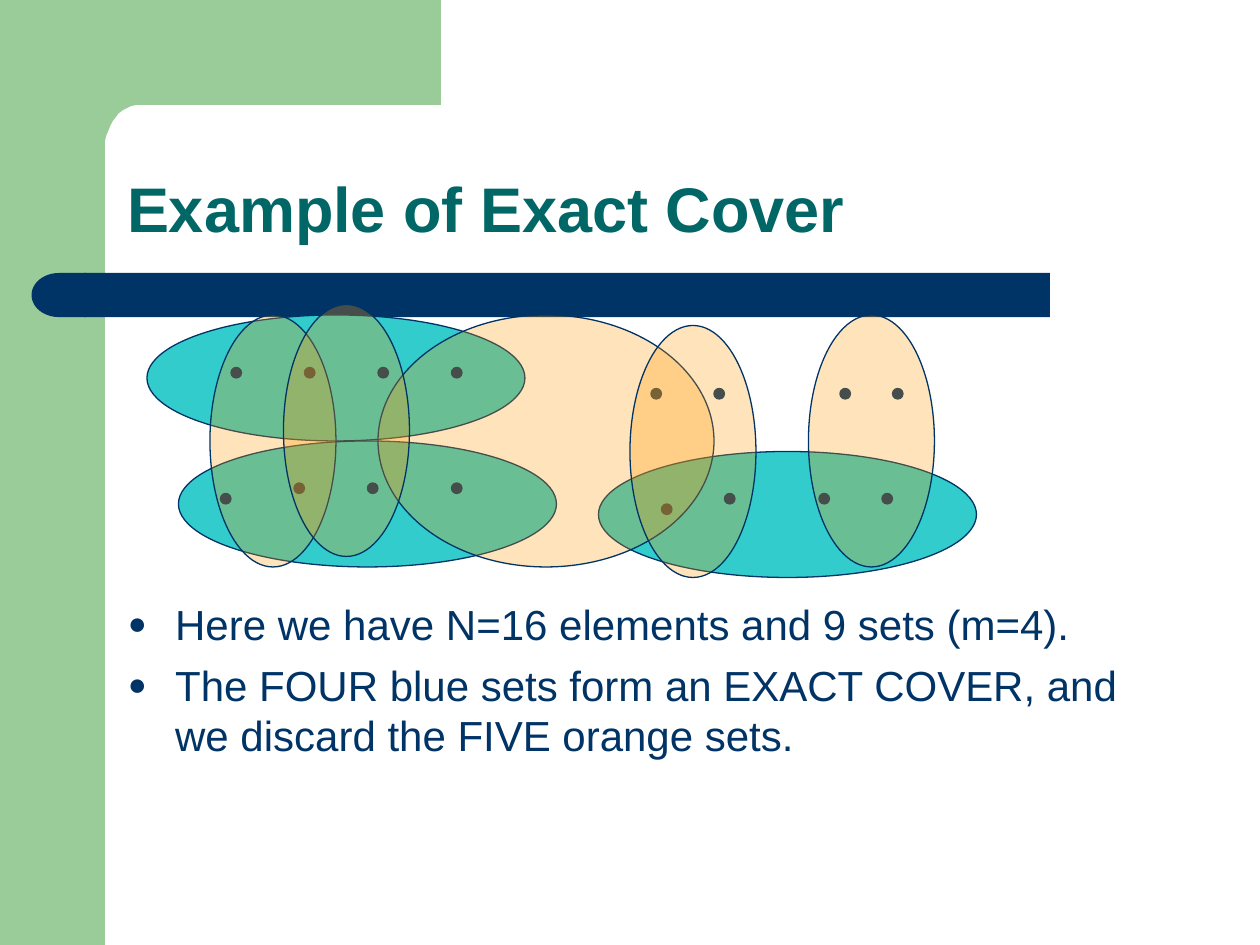
import math

from lxml import etree
from pptx import Presentation
from pptx import util as u
from pptx.dml import color
from pptx.enum import shapes, text
from pptx.oxml import ns

PX = u.Inches(1) // 120
COLORS = {
    "frame": "99CC99",
    "navy": "003366",
    "title": "006666",
    "cover": "33CCCC",
    "discard": "FF9900",
}
FONT = "Arial"


def rgb(name):
    return color.RGBColor.from_string(COLORS[name])


def add_child(parent, tag, **attributes):
    return etree.SubElement(parent, ns.qn(tag), attributes)


class SlideBuilder:
    def __init__(self, slide):
        self.slide = slide

    def paint(self, shape, fill, outlined=False, alpha=None):
        shape.shadow.inherit = False
        shape.fill.solid()
        shape.fill.fore_color.rgb = rgb(fill)
        if alpha is not None:
            tint = shape.fill._xPr.find(".//" + ns.qn("a:srgbClr"))
            add_child(tint, "a:alpha", val=str(alpha * 1000))
        if outlined:
            shape.line.color.rgb = rgb("navy")
            shape.line.width = u.Pt(0.75)
        else:
            shape.line.fill.background()

    def preset(self, kind, box, fill, **style):
        shape = self.slide.shapes.add_shape(kind, *(n * PX for n in box))
        self.paint(shape, fill, **style)
        return shape

    def ellipse(self, box, fill, alpha=None):
        self.preset(shapes.MSO_SHAPE.OVAL, box, fill, outlined=True, alpha=alpha)

    def outline(self, points, fill):
        builder = self.slide.shapes.build_freeform(*points[0], scale=PX)
        builder.add_line_segments(points[1:], close=True)
        self.paint(builder.convert_to_shape(), fill)

    def run(self, paragraph, words, size, fill, bold=False):
        run = paragraph.add_run()
        run.text = words
        run.font.name = FONT
        run.font.size = u.Pt(size)
        run.font.bold = bold
        run.font.color.rgb = rgb(fill)

    def title(self, box, words):
        holder = self.slide.shapes.title
        holder.left, holder.top, holder.width, holder.height = (n * PX for n in box)
        frame = holder.text_frame
        frame.auto_size = text.MSO_AUTO_SIZE.NONE
        frame.vertical_anchor = text.MSO_ANCHOR.BOTTOM
        paragraph = frame.paragraphs[0]
        paragraph.alignment = text.PP_ALIGN.LEFT
        paragraph.line_spacing = 0.9
        self.run(paragraph, words, 36, "title", bold=True)

    def bullets(self, box, items):
        frame = self.slide.shapes.add_textbox(*(n * PX for n in box)).text_frame
        frame.word_wrap = True
        for index, words in enumerate(items):
            paragraph = frame.add_paragraph() if index else frame.paragraphs[0]
            paragraph.space_before = u.Pt(6)
            props = paragraph._p.get_or_add_pPr()
            props.set("marL", str(45 * PX))
            props.set("indent", str(-45 * PX))
            add_child(add_child(props, "a:buClr"), "a:srgbClr", val=COLORS["navy"])
            add_child(props, "a:buSzPct", val="75000")
            add_child(props, "a:buFont", typeface=FONT)
            add_child(props, "a:buChar", char="●")
            self.run(paragraph, words, 24, "navy")


def main():
    deck = Presentation()
    deck.slide_width, deck.slide_height = 1200 * PX, 900 * PX
    page = SlideBuilder(deck.slides.add_slide(deck.slide_layouts[5]))

    page.preset(shapes.MSO_SHAPE.RECTANGLE, (0, 0, 100, 900), "frame")
    angles = [math.radians(step * 7.5) for step in range(13)]
    corner = [
        (round(134 - 34 * math.sin(a), 2), round(140 - 40 * math.cos(a), 2))
        for a in angles
    ]
    page.outline(
        [(60, 0), (420, 0), (420, 100), *corner, (100, 154), (60, 154)], "frame"
    )
    page.preset(shapes.MSO_SHAPE.RECTANGLE, (80, 260, 920, 42), "navy")
    bar_cap = page.preset(
        shapes.MSO_SHAPE.FLOWCHART_DELAY, (30, 260, 52, 42), "navy"
    )
    bar_cap.rotation = 180

    page.title((109, 109, 1021, 131), "Example of Exact Cover")
    page.bullets(
        (110, 564, 1009, 234),
        [
            "Here we have N=16 elements and 9 sets (m=4).",
            "The FOUR blue sets form an EXACT COVER, and "
            "we discard the FIVE orange sets.",
        ],
    )

    for left, top in [(140, 300), (170, 420), (570, 430)]:
        page.ellipse((left, top, 360, 120), "cover")

    element_rows = {
        350: [220, 290, 360, 430],
        370: [850, 800, 680, 620],
        470: [210, 840, 780, 690],
        480: [630],
        460: [430, 350, 280],
    }
    for top, lefts in element_rows.items():
        for left in lefts:
            page.ellipse((left, top, 10, 10), "navy")

    for left, top, width in [
        (200, 300, 120),
        (770, 300, 120),
        (360, 300, 320),
        (600, 310, 120),
        (270, 290, 120),
    ]:
        page.ellipse((left, top, width, 240), "discard", alpha=27)

    deck.save("out.pptx")


if __name__ == "__main__":
    main()
